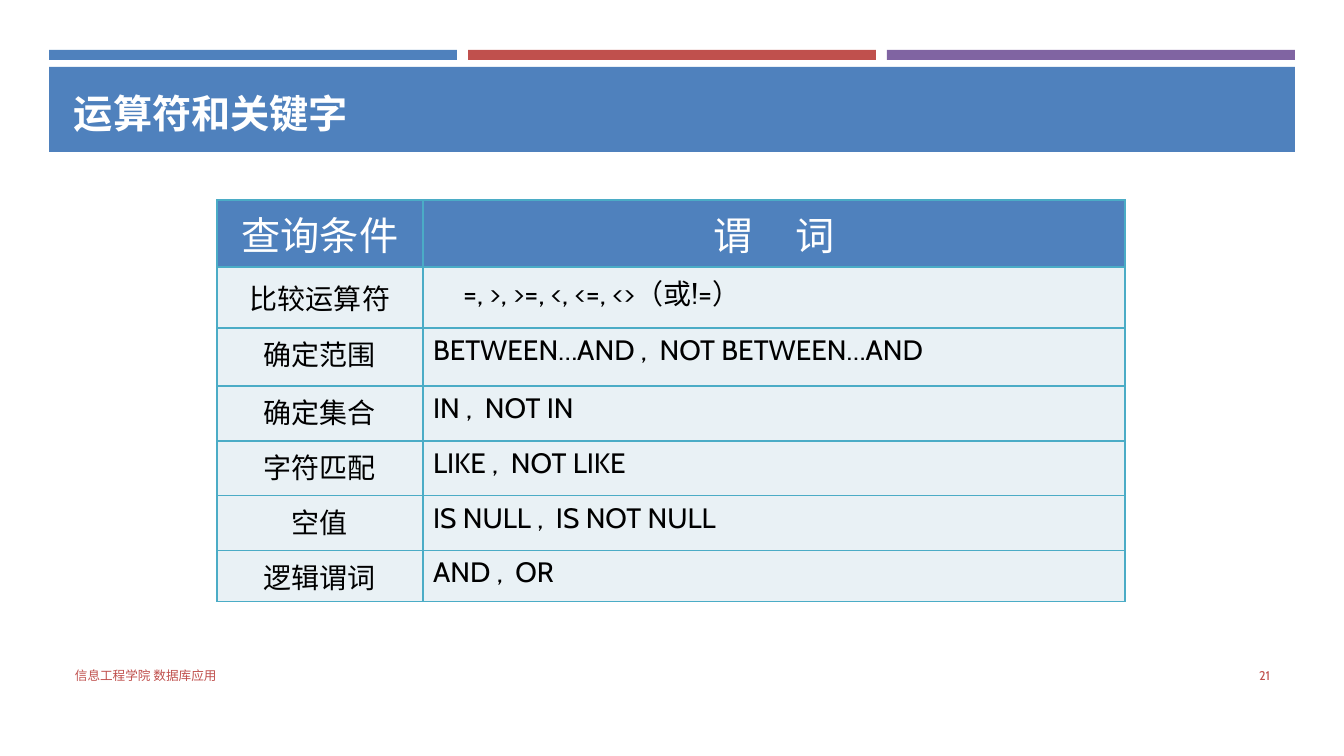
import pptx
import pptx.dml.color
import pptx.enum.shapes
import pptx.enum.text
import pptx.oxml
import pptx.oxml.ns
import pptx.util

RGBColor = pptx.dml.color.RGBColor
ALIGN = pptx.enum.text.PP_ALIGN
ANCHOR = pptx.enum.text.MSO_ANCHOR

BLUE = RGBColor(0x4F, 0x81, 0xBD)
RED = RGBColor(0xC0, 0x50, 0x4D)
PURPLE = RGBColor(0x80, 0x64, 0xA2)
TEAL = RGBColor(0x4B, 0xAC, 0xC6)
PALE = RGBColor(0xE9, 0xF1, 0xF5)
WHITE = RGBColor(0xFF, 0xFF, 0xFF)
BLACK = RGBColor(0x00, 0x00, 0x00)
FONT = "Cabin"
PX = 914400 / 100.8


def px(*lengths):
    return [pptx.util.Emu(round(length * PX)) for length in lengths]


def style(paragraph, size, color, align=ALIGN.LEFT, bold=False):
    paragraph.alignment = align
    paragraph.font.name = FONT
    paragraph.font.size = pptx.util.Pt(size)
    paragraph.font.bold = bold
    paragraph.font.color.rgb = color


presentation = pptx.Presentation()
presentation.slide_width, presentation.slide_height = px(1344, 756)
slide = presentation.slides.add_slide(presentation.slide_layouts[6])

# Three colour strips above the title bar
bars = [(49 + 419 * i, 50, 408, 10, color) for i, color in enumerate((BLUE, RED, PURPLE))]
bars.append((49, 67, 1246, 85, BLUE))
for left, top, width, height, color in bars:
    shape = slide.shapes.add_shape(
        pptx.enum.shapes.MSO_SHAPE.RECTANGLE, *px(left, top, width, height))
    shape.shadow.inherit = False
    shape.fill.solid()
    shape.fill.fore_color.rgb = color
    shape.line.fill.background()

# Title, footer and slide number
labels = [
    ("运算符和关键字", (64, 81, 1216, 60), ANCHOR.BOTTOM, 28, WHITE, ALIGN.LEFT, True),
    ("信息工程学院 数据库应用", (65, 656, 762, 40), ANCHOR.MIDDLE, 9, RED, ALIGN.LEFT, False),
    ("21", (1164, 656, 116, 40), ANCHOR.MIDDLE, 9, RED, ALIGN.RIGHT, False),
]
for text, box, anchor, size, color, align, bold in labels:
    frame = slide.shapes.add_textbox(*px(*box)).text_frame
    frame.word_wrap = True
    frame.vertical_anchor = anchor
    frame.text = text
    style(frame.paragraphs[0], size, color, align, bold)

# Table of query conditions and predicates
rows = [
    ("查询条件", "谓 词", 67),
    ("比较运算符", "=, >, >=, <, <=, <>（或!=）", 61),
    ("确定范围", "BETWEEN…AND ,  NOT BETWEEN…AND", 58),
    ("确定集合", "IN ,  NOT IN", 55),
    ("字符匹配", "LIKE ,  NOT LIKE", 55),
    ("空值", "IS NULL ,  IS NOT NULL", 55),
    ("逻辑谓词", "AND ,  OR", 51),
]
column_widths = (206, 702)
table = slide.shapes.add_table(
    len(rows), 2, *px(217, 200, sum(column_widths), sum(row[2] for row in rows))).table
for column, width in zip(table.columns, px(*column_widths)):
    column.width = width
for r, (condition, predicate, height) in enumerate(rows):
    table.rows[r].height = px(height)[0]
    header = r == 0
    for c, text in enumerate((condition, predicate)):
        cell = table.cell(r, c)
        cell.text = text
        centred = header or c == 0
        style(cell.text_frame.paragraphs[0], 28 if header else 20,
              WHITE if header else BLACK, ALIGN.CENTER if centred else ALIGN.LEFT)
        properties = cell._tc.get_or_add_tcPr()
        for side in ("lnL", "lnR", "lnT", "lnB"):
            properties.append(pptx.oxml.parse_xml(
                f'<a:{side} {pptx.oxml.ns.nsdecls("a")} w="12700"><a:solidFill>'
                f'<a:srgbClr val="{TEAL}"/></a:solidFill></a:{side}>'))
        cell.fill.solid()
        cell.fill.fore_color.rgb = BLUE if header else PALE

# Wide gap inside the header word, made with character spacing
paragraph = table.cell(0, 1).text_frame.paragraphs[0]
paragraph.runs[0].text = "谓 "
paragraph.runs[0].font._element.set("spc", "1200")
paragraph.add_run().text = "词"

# The comparison operators are centred vertically and indented
table.cell(1, 0).vertical_anchor = ANCHOR.MIDDLE
operators = table.cell(1, 1).text_frame.paragraphs[0]
operators._p.get_or_add_pPr().set("marL", str(px(30)[0]))

presentation.save("out.pptx")
